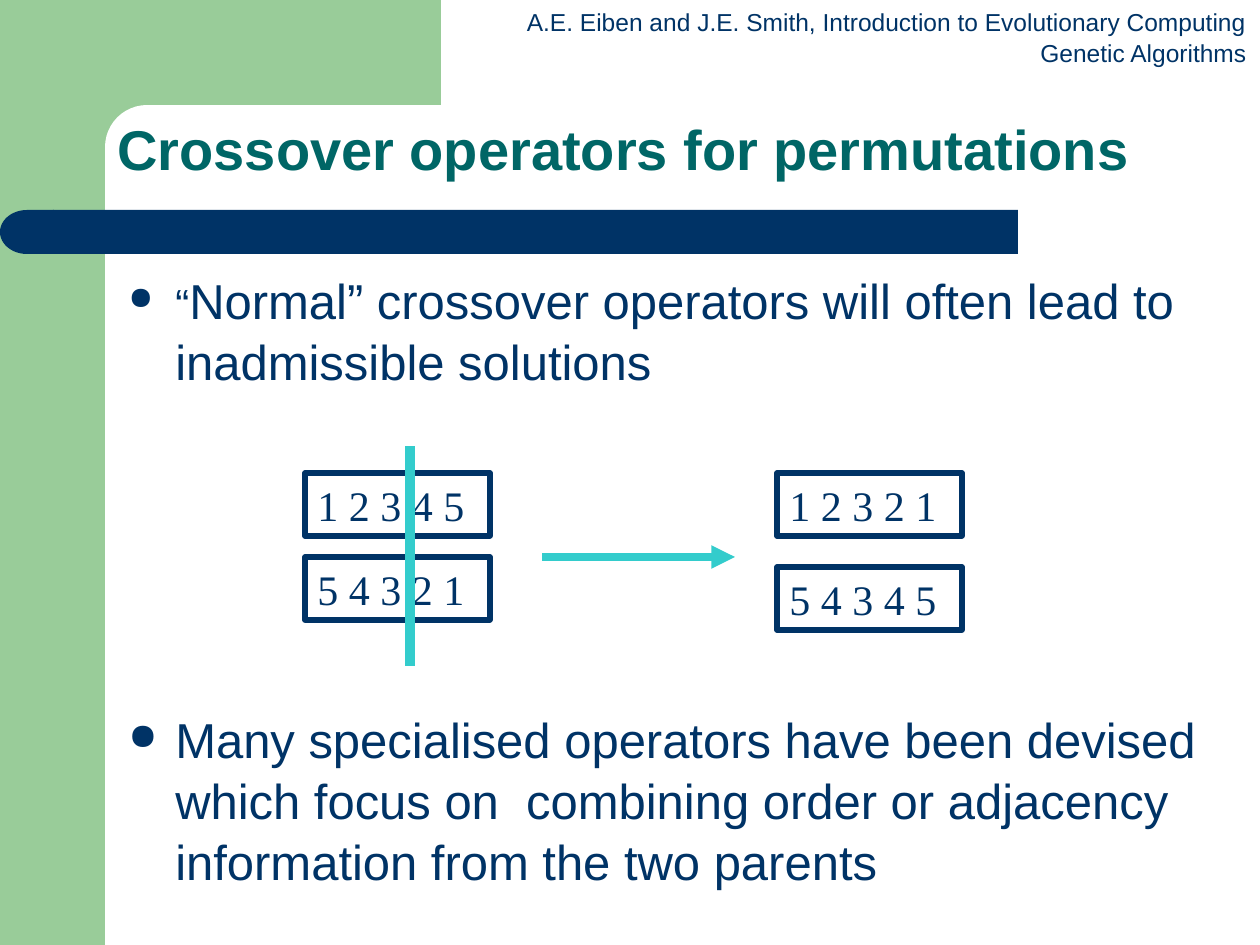
import pptx
import pptx.util
import pptx.dml.color
import pptx.enum.shapes
import pptx.enum.text
import pptx.oxml.ns
import lxml.etree

PX = 914400 // 126
COLORS = {"green": "99CC99", "white": "FFFFFF", "navy": "003366",
          "teal": "006666", "cyan": "33CCCC"}
SHAPES = pptx.enum.shapes.MSO_SHAPE
ALIGN = pptx.enum.text.PP_ALIGN
ANCHOR = pptx.enum.text.MSO_ANCHOR


def rgb(name):
    return pptx.dml.color.RGBColor.from_string(COLORS[name])


def add_child(parent, tag, **attributes):
    child = lxml.etree.SubElement(parent, pptx.oxml.ns.qn(tag))
    for name, value in attributes.items():
        child.set(name, value)
    return child


presentation = pptx.Presentation()
presentation.slide_width = 1260 * PX
presentation.slide_height = 945 * PX
slide = presentation.slides.add_slide(presentation.slide_layouts[6])

# Frame: green side and top, rounded white corner, navy bar with round end
frame = [
    (SHAPES.RECTANGLE, 0, 0, 105, 945, "green"),
    (SHAPES.RECTANGLE, 95, 0, 346, 146, "green"),
    (SHAPES.ROUNDED_RECTANGLE, 105, 105, 703, 84, "white"),
    (SHAPES.RECTANGLE, 53, 210, 965, 44, "navy"),
    (SHAPES.FLOWCHART_DELAY, 0, 210, 54, 44, "navy"),
]
for kind, left, top, width, height, color in frame:
    shape = slide.shapes.add_shape(kind, left * PX, top * PX, width * PX, height * PX)
    shape.shadow.inherit = False
    shape.fill.solid()
    shape.fill.fore_color.rgb = rgb(color)
    shape.line.fill.background()
    if kind == SHAPES.ROUNDED_RECTANGLE:
        shape.adjustments[0] = 0.5
    if kind == SHAPES.FLOWCHART_DELAY:
        shape._element.spPr.xfrm.set("flipH", "1")

# Book reference
header = slide.shapes.add_textbox(514 * PX, 0, 745 * PX, 72 * PX)
header.text_frame.word_wrap = True
header.text_frame.text = ("A.E. Eiben and J.E. Smith, Introduction to Evolutionary Computing\n"
                          "Genetic Algorithms")
for paragraph in header.text_frame.paragraphs:
    paragraph.alignment = ALIGN.RIGHT
    paragraph.line_spacing = 1.04
    paragraph.font.name = "Arial"
    paragraph.font.size = pptx.util.Pt(14)
    paragraph.font.color.rgb = rgb("navy")

# Title
title = slide.shapes.add_textbox(105 * PX, 105 * PX, 1102 * PX, 94 * PX)
title.text_frame.word_wrap = True
title.text_frame.vertical_anchor = ANCHOR.MIDDLE
paragraph = title.text_frame.paragraphs[0]
paragraph.text = "Crossover operators for permutations"
paragraph.line_spacing = 0.9
paragraph.font.name = "Arial"
paragraph.font.size = pptx.util.Pt(32)
paragraph.font.bold = True
paragraph.font.color.rgb = rgb("teal")

# Bullets, with room for the diagram between them
body = slide.shapes.add_textbox(116 * PX, 262 * PX, 1102 * PX, 662 * PX)
body.text_frame.word_wrap = True
bullets = [
    [("“", 24), ("Normal” crossover operators will often lead to inadmissible solutions", 28)],
    [("Many specialised operators have been devised which focus on  combining order "
      "or adjacency information from the two parents", 28)],
]
for index, runs in enumerate(bullets):
    paragraph = body.text_frame.paragraphs[0] if index == 0 else body.text_frame.add_paragraph()
    paragraph.line_spacing = 1.04
    if index:
        paragraph.space_before = pptx.util.Pt(181)
    properties = paragraph._p.get_or_add_pPr()
    properties.set("marL", str(47 * PX))
    properties.set("indent", str(-47 * PX))
    add_child(add_child(properties, "a:buClr"), "a:srgbClr", val=COLORS["navy"])
    add_child(properties, "a:buSzPct", val="75000")
    add_child(properties, "a:buChar", char="●")
    paragraph.font.name = "Arial"
    paragraph.font.color.rgb = rgb("navy")
    for text, size in runs:
        run = paragraph.add_run()
        run.text = text
        run.font.size = pptx.util.Pt(size)

# Parents on the left, children on the right
permutations = [
    ("1 2 3 4 5", 305, 473), ("5 4 3 2 1", 305, 557),
    ("1 2 3 2 1", 777, 473), ("5 4 3 4 5", 777, 567),
]
for text, left, top in permutations:
    box = slide.shapes.add_shape(SHAPES.RECTANGLE, left * PX, top * PX, 185 * PX, 63 * PX)
    box.shadow.inherit = False
    box.fill.background()
    box.line.color.rgb = rgb("navy")
    box.line.width = pptx.util.Pt(3)
    box.text_frame.vertical_anchor = ANCHOR.MIDDLE
    paragraph = box.text_frame.paragraphs[0]
    paragraph.text = text
    paragraph.alignment = ALIGN.LEFT
    paragraph.font.name = "Times New Roman"
    paragraph.font.size = pptx.util.Pt(24)
    paragraph.font.color.rgb = rgb("navy")

# Crossover point and arrow to the children
lines = [(410, 451, 410, 661, 6, False), (546, 557, 735, 557, 4.5, True)]
for x1, y1, x2, y2, width, has_arrow in lines:
    connector = slide.shapes.add_connector(
        pptx.enum.shapes.MSO_CONNECTOR.STRAIGHT, x1 * PX, y1 * PX, x2 * PX, y2 * PX)
    connector.line.color.rgb = rgb("cyan")
    connector.line.width = pptx.util.Pt(width)
    outline = connector.line._get_or_add_ln()
    outline.set("cap", "sq")
    if has_arrow:
        add_child(outline, "a:tailEnd", type="triangle")
    add_child(connector._element.spPr, "a:effectLst")

presentation.save("out.pptx")
